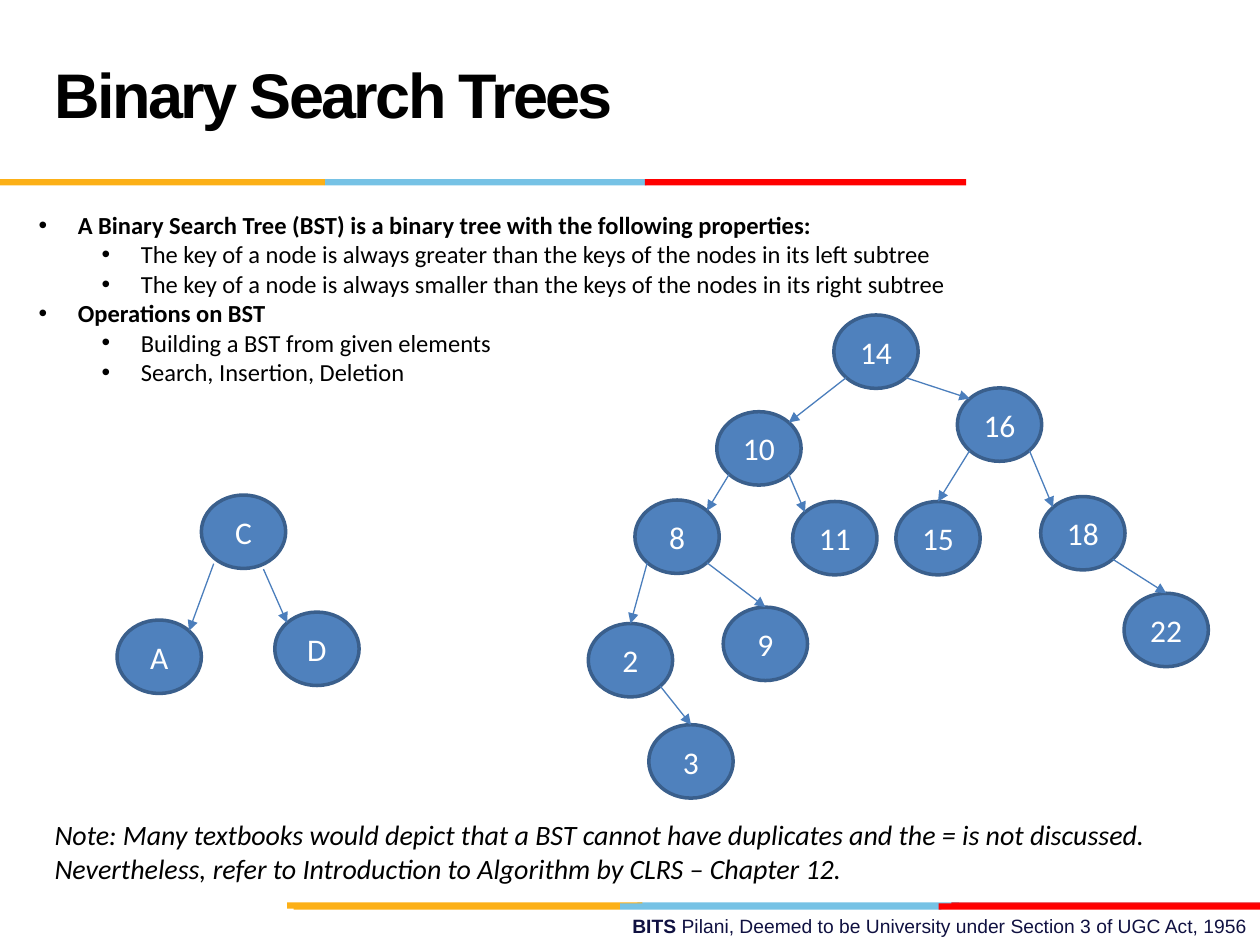
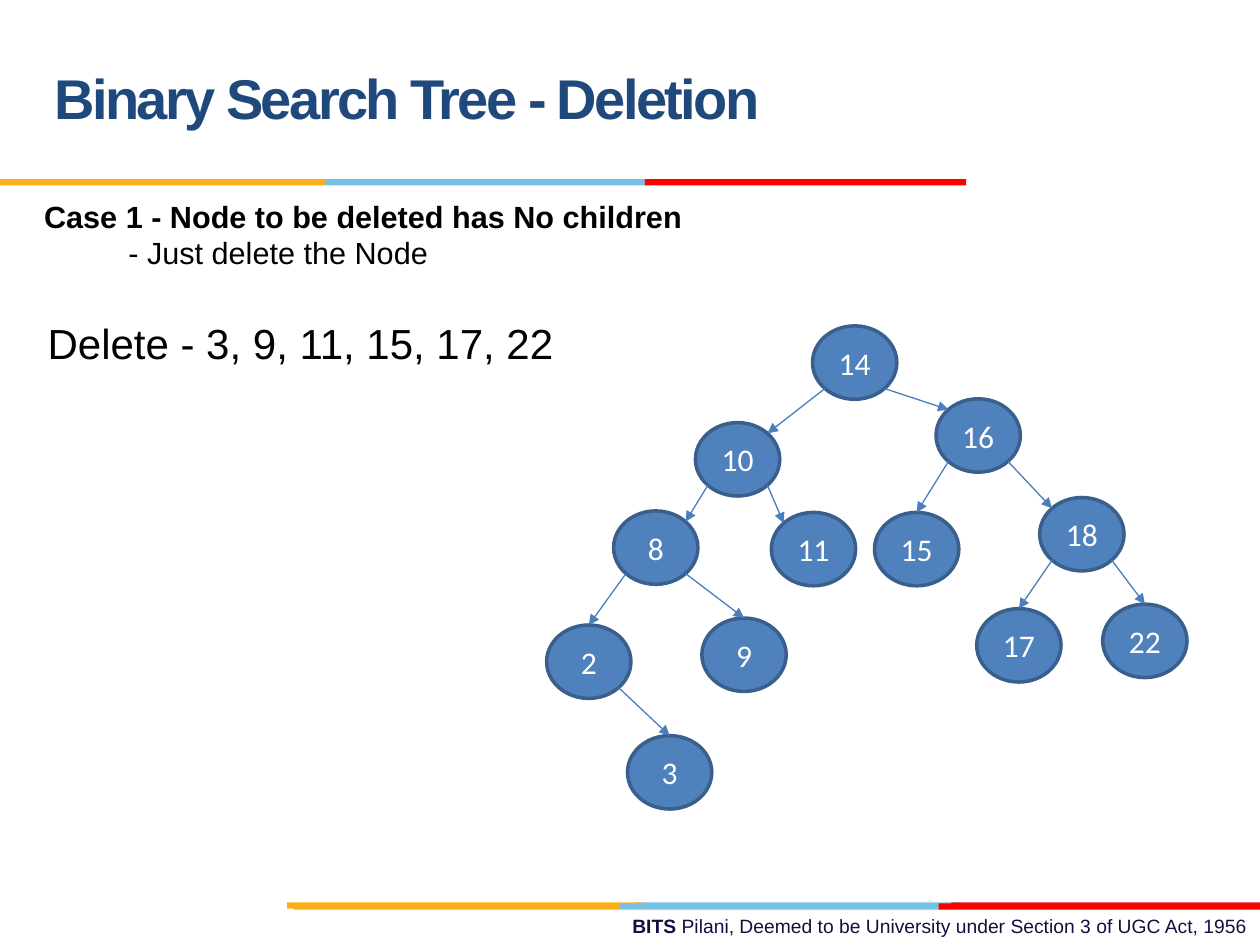
from math import sqrt

from lxml import etree
from pptx import Presentation
from pptx.dml.color import RGBColor
from pptx.enum.shapes import MSO_CONNECTOR, MSO_SHAPE
from pptx.enum.text import MSO_ANCHOR, PP_ALIGN
from pptx.oxml.ns import qn
from pptx.util import Cm, Pt

# Shared colours and parts
BLACK, NAVY, TITLE_BLUE = "000000", "101141", "1F497D"
NODE_FILL, NODE_LINE, EDGE, WHITE = "4F81BD", "3A5F8C", "4B7EBC", "FFFFFF"
BLUE, RED, DARK_RED, AMBER = "76C2E5", "FF0000", "E31C24", "FCB017"
FOOTER = [("BITS ", True),
          ("Pilani, Deemed to be University under Section 3 of UGC Act, 1956", False)]
BAND_HEIGHT = 0.13
BANDS = [  # left, top, width, colour
    (12.85, 18.19, 6.48, BLUE), (19.18, 18.19, 6.22, DARK_RED), (5.79, 18.19, 7.16, AMBER),
    (12.5, 18.21, 6.48, BLUE), (5.92, 18.21, 6.58, AMBER), (18.92, 18.21, 6.48, RED),
    (6.55, 3.61, 6.48, BLUE), (0, 3.61, 6.55, AMBER), (13, 3.61, 6.48, RED),
]

# Slide text
PROPERTIES = [  # level, text
    (0, "A Binary Search Tree (BST) is a binary tree with the following properties:"),
    (1, "The key of a node is always greater than the keys of the nodes in its left subtree"),
    (1, "The key of a node is always smaller than the keys of the nodes in its right subtree"),
    (0, "Operations on BST"),
    (1, "Building a BST from given elements"),
    (1, "Search, Insertion, Deletion"),
]
NOTE = ("Note: Many textbooks would depict that a BST cannot have duplicates and the = is "
        "not discussed. Nevertheless, refer to Introduction to Algorithm by CLRS – Chapter 12.")
DELETION_CASE = [(0, "Case 1 - Node to be deleted has No children"),
                 (1, "- Just delete the Node")]
DELETIONS = "Delete - 3, 9, 11, 15, 17, 22"

# Trees: node positions (left, top) and edges (parent, child, where the arrow lands)
NODE_WIDTH, NODE_HEIGHT = 1.7, 1.48
LETTER_NODES = {"A": (2.36, 12.5), "C": (4.06, 9.98), "D": (5.54, 12.34)}
LETTER_EDGES = [("C", "A", "corner"), ("C", "D", "corner")]
START_NUDGES = {"A": (0, 0.12), "D": (-0.2, 0.23)}
NUMBER_NODES = {
    "14": (16.81, 6.35), "10": (14.45, 8.3), "16": (19.3, 7.82), "8": (12.8, 10.08),
    "11": (15.98, 10.11), "15": (18.06, 10.11), "18": (20.98, 10.01),
    "2": (11.86, 12.57), "9": (14.58, 12.24), "22": (22.66, 11.96), "3": (13.08, 14.61),
}
NUMBER_EDGES = [
    ("14", "10", "corner"), ("14", "16", "corner"), ("10", "8", "corner"),
    ("10", "11", "corner"), ("16", "15", "top"), ("16", "18", "corner"),
    ("8", "2", "top"), ("8", "9", "top"), ("18", "22", "top"), ("2", "3", "top"),
]
DELETION_SHIFT = (-0.43, 0.22)
DELETION_MOVES = {"2": (11.02, 12.6), "18": (20.96, 10.03), "17": (19.69, 12.27)}


def color(hex_string):
    return RGBColor.from_string(hex_string)


def set_font(font, size, name="Arial", fill=BLACK, bold=None, italic=None):
    font.size, font.name, font.bold, font.italic = Pt(size), name, bold, italic
    font.color.rgb = color(fill)


def add_text_box(slide, left, top, width, height):
    frame = slide.shapes.add_textbox(Cm(left), Cm(top), Cm(width), Cm(height)).text_frame
    frame.word_wrap = True
    return frame


def add_paragraph(frame, index):
    return frame.add_paragraph() if index else frame.paragraphs[0]


def indent(paragraph, margin, hanging=0, bullet=None):
    properties = paragraph._p.get_or_add_pPr()
    properties.set("marL", str(Cm(margin)))
    properties.set("indent", str(-Cm(hanging)))
    if bullet:
        etree.SubElement(properties, qn("a:buFont")).set("typeface", "Arial")
        etree.SubElement(properties, qn("a:buChar")).set("char", bullet)


def add_shape(slide, kind, left, top, width, height, fill):
    shape = slide.shapes.add_shape(kind, Cm(left), Cm(top), Cm(width), Cm(height))
    shape.shadow.inherit = False
    shape.fill.solid()
    shape.fill.fore_color.rgb = color(fill)
    shape.line.fill.background()
    return shape


def add_slide(presentation, title, title_size, title_color):
    slide = presentation.slides.add_slide(presentation.slide_layouts[6])
    # Footer and colour bands
    paragraph = add_text_box(slide, 9.09, 18.31, 16.31, 0.74).paragraphs[0]
    paragraph.alignment = PP_ALIGN.RIGHT
    set_font(paragraph.font, 11, fill=NAVY)
    for text, bold in FOOTER:
        run = paragraph.add_run()
        run.text = text
        set_font(run.font, 11, fill=NAVY, bold=bold)
    for left, top, width, fill in BANDS:
        add_shape(slide, MSO_SHAPE.RECTANGLE, left, top, width, BAND_HEIGHT, fill)
    # Title
    frame = add_text_box(slide, 0.85, 0.42, 18.2, 3.18)
    frame.vertical_anchor = MSO_ANCHOR.MIDDLE
    paragraph = frame.paragraphs[0]
    paragraph.line_spacing = Pt(36)
    run = paragraph.add_run()
    run.text = title
    set_font(run.font, title_size, fill=title_color, bold=True)
    run._r.get_or_add_rPr().set("spc", "-150")
    return slide


def add_node(slide, key, left, top):
    node = add_shape(slide, MSO_SHAPE.FLOWCHART_CONNECTOR, left, top,
                     NODE_WIDTH, NODE_HEIGHT, NODE_FILL)
    node.line.color.rgb = color(NODE_LINE)
    node.line.width = Pt(2)
    frame = node.text_frame
    frame.word_wrap = False
    frame.vertical_anchor = MSO_ANCHOR.MIDDLE
    paragraph = frame.paragraphs[0]
    paragraph.text = key
    paragraph.alignment = PP_ALIGN.CENTER
    set_font(paragraph.font, 18, "Calibri", WHITE)


def rim_point(position, across, down):
    """Point on a node's rim in the direction (across, down) from its centre."""
    length = sqrt(across ** 2 + down ** 2)
    return (position[0] + NODE_WIDTH / 2 * (1 + across / length),
            position[1] + NODE_HEIGHT / 2 * (1 + down / length))


def add_edge(slide, start, end):
    edge = slide.shapes.add_connector(MSO_CONNECTOR.STRAIGHT,
                                      *(Cm(value) for value in (*start, *end)))
    edge.line.color.rgb = color(EDGE)
    edge.line.width = Pt(0.75)
    etree.SubElement(edge.line._get_or_add_ln(), qn("a:tailEnd")).set("type", "triangle")
    etree.SubElement(edge._element.spPr, qn("a:effectLst"))


def add_tree(slide, nodes, edges):
    for key, position in nodes.items():
        add_node(slide, key, *position)
    for parent, child, landing in edges:
        side = 1 if nodes[child][0] > nodes[parent][0] else -1
        start_x, start_y = rim_point(nodes[parent], side, 1)
        nudge_x, nudge_y = START_NUDGES.get(child, (0, 0))
        end = rim_point(nodes[child], -side if landing == "corner" else 0, -1)
        add_edge(slide, (start_x + nudge_x, start_y + nudge_y), end)


def build_overview(presentation):
    slide = add_slide(presentation, "Binary Search Trees", 36, BLACK)
    frame = add_text_box(slide, 0.53, 4.11, 23.5, 3.84)
    for index, (level, text) in enumerate(PROPERTIES):
        paragraph = add_paragraph(frame, index)
        paragraph.text = text
        paragraph.level = level
        indent(paragraph, 0.79 + 1.27 * level, 0.79, "•")
        set_font(paragraph.font, 14, "Calibri", bold=level == 0)
    add_tree(slide, LETTER_NODES, LETTER_EDGES)
    add_tree(slide, NUMBER_NODES, NUMBER_EDGES)
    paragraph = add_text_box(slide, 0.85, 16.36, 23.93, 1.63).paragraphs[0]
    paragraph.text = NOTE
    set_font(paragraph.font, 16, "Calibri", italic=True)


def build_deletion(presentation):
    slide = add_slide(presentation, "Binary Search Tree - Deletion", 32, TITLE_BLUE)
    frame = add_text_box(slide, 0.64, 4.01, 22.23, 1.7)
    for index, (level, text) in enumerate(DELETION_CASE):
        paragraph = add_paragraph(frame, index)
        paragraph.text = text
        paragraph.line_spacing = 0.8
        if index:
            paragraph.space_before = Pt(4)
        indent(paragraph, 1.7 * level)
        set_font(paragraph.font, 17.5, bold=level == 0)
    shift_x, shift_y = DELETION_SHIFT
    shifted = {key: (left + shift_x, top + shift_y)
               for key, (left, top) in NUMBER_NODES.items()}
    add_tree(slide, shifted | DELETION_MOVES, NUMBER_EDGES + [("18", "17", "top")])
    paragraph = add_text_box(slide, 0.71, 6.27, 10.72, 2).paragraphs[0]
    paragraph.text = DELETIONS
    set_font(paragraph.font, 24)


def main():
    presentation = Presentation()
    presentation.slide_width, presentation.slide_height = Cm(25.4), Cm(19.05)
    build_overview(presentation)
    build_deletion(presentation)
    presentation.save("out.pptx")


if __name__ == "__main__":
    main()
